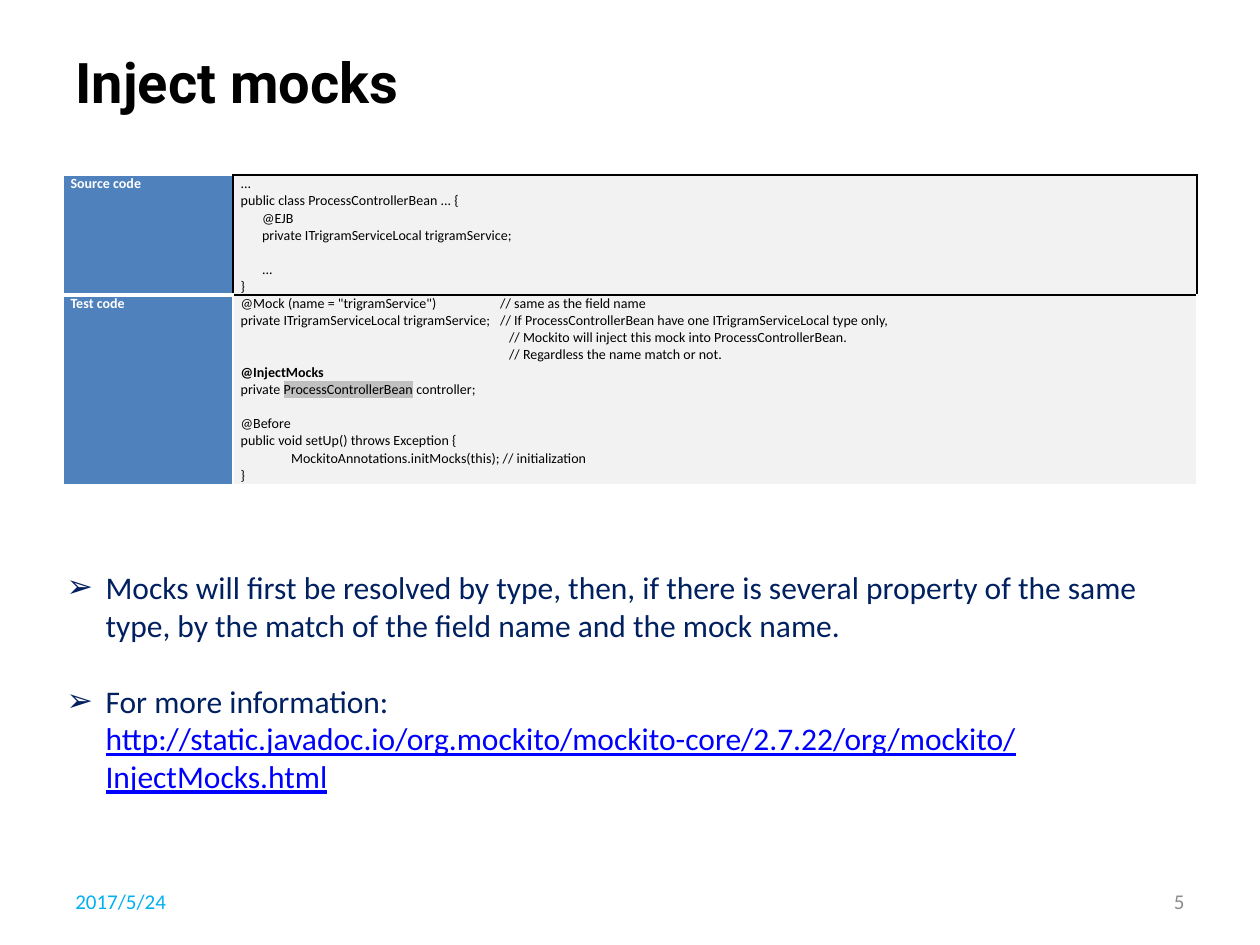
from lxml import etree
from pptx import Presentation
from pptx.dml.color import RGBColor
from pptx.enum.text import MSO_ANCHOR, MSO_AUTO_SIZE, PP_ALIGN
from pptx.oxml.ns import qn
from pptx.util import Inches, Pt

MIDDLE, TOP = MSO_ANCHOR.MIDDLE, MSO_ANCHOR.TOP
LEFT, RIGHT = PP_ALIGN.LEFT, PP_ALIGN.RIGHT
GROW = MSO_AUTO_SIZE.SHAPE_TO_FIT_TEXT
rgb = RGBColor.from_string


def add(parent, tag, **attrs):
    return etree.SubElement(parent, qn(tag), {k: str(v) for k, v in attrs.items()})


def style(p, size, color, bold=False, font="Calibri"):
    for r in p.runs:
        r.font.size = Pt(size)
        r.font.name = font
        r.font.bold = bold
        r.font.color.rgb = rgb(color)


prs = Presentation()
prs.slide_width, prs.slide_height = Inches(10), Inches(7.5)
s = prs.slides.add_slide(prs.slide_layouts[5])
margin = Inches(0.5)

title = s.shapes.title
title.left, title.top, title.width, title.height = margin, Inches(0.3), Inches(9), Inches(0.69)
tf = title.text_frame
tf.text = "Inject mocks"
tf.vertical_anchor = MIDDLE
tf.paragraphs[0].alignment = LEFT
style(tf.paragraphs[0], 32, "000000", True, "Roboto")

footer_width = Inches(2.33)
for text, left, align, color in [
    ("2017/5/24", margin, LEFT, "00B0F0"),
    ("5", prs.slide_width - margin - footer_width, RIGHT, "8C8C8C"),
]:
    tf = s.shapes.add_textbox(left, Inches(6.95), footer_width, Inches(0.4)).text_frame
    tf.word_wrap = True
    tf.vertical_anchor = MIDDLE
    tf.text = text
    tf.paragraphs[0].alignment = align
    style(tf.paragraphs[0], 12, color)

LINE = 9.8
COMMENT = 2.06
source_code = [
    ("...", 0, 0),
    ("public class ProcessControllerBean ... {", 0, 0),
    ("@EJB", 0.17, 0),
    ("private ITrigramServiceLocal trigramService;", 0.17, 0),
    ("...", 0.17, LINE),
    ("}", 0, 0),
]
test_code = [
    ('@Mock (name = "trigramService")\t// same as the field name', 0, 0),
    ("private ITrigramServiceLocal trigramService;\t// If ProcessControllerBean have one ITrigramServiceLocal type only,", 0, 0),
    ("// Mockito will inject this mock into ProcessControllerBean.", 2.13, 0),
    ("// Regardless the name match or not.", 2.13, 0),
    ("@InjectMocks", 0, 0),
    ("private ", 0, 0),
    ("@Before", 0, LINE),
    ("public void setUp() throws Exception {", 0, 0),
    ("MockitoAnnotations.initMocks(this); // initialization", 0.4, 0),
    ("}", 0, 0),
]
white, thick, black = ("FFFFFF", 1), ("FFFFFF", 3), ("000000", 1)
cells = [
    [([("Source code", 0, 0)], (white, black, white, thick)), (source_code, (black,) * 4)],
    [([("Test code", 0, 0)], (white, white, thick, white)), (test_code, (white, white, black, white))],
]
columns, rows = [1.35, 7.65], [0.95, 1.51]
table = s.shapes.add_table(2, 2, margin, Inches(1.39), Inches(sum(columns)), Inches(sum(rows))).table
for i in range(2):
    table.columns[i].width = Inches(columns[i])
    table.rows[i].height = Inches(rows[i])
    for j, (lines, borders) in enumerate(cells[i]):
        cell = table.cell(i, j)
        cell.margin_left = cell.margin_right = Inches(0.06)
        cell.margin_top = cell.margin_bottom = 0
        cell.vertical_anchor = TOP
        tcPr = cell._tc.get_or_add_tcPr()
        for tag, (color, width) in zip(("a:lnL", "a:lnR", "a:lnT", "a:lnB"), borders):
            add(add(add(tcPr, tag, w=Pt(width)), "a:solidFill"), "a:srgbClr", val=color)
        cell.fill.solid()
        cell.fill.fore_color.rgb = rgb(["4F81BD", "F2F2F2"][j])
        tf = cell.text_frame
        tf.text = "\n".join(line[0] for line in lines)
        for p, (text, indent, gap) in zip(tf.paragraphs, lines):
            p.space_before = Pt(gap)
            pPr = p._p.get_or_add_pPr()
            pPr.set("marL", str(Inches(indent)))
            if "\t" in text:
                add(add(pPr, "a:tabLst"), "a:tab", pos=Inches(COMMENT), algn="l")
            if text == "private ":
                for part in ("ProcessControllerBean", " controller;"):
                    p.add_run().text = part
            style(p, 8, ["FFFFFF", "000000"][j], j == 0 or text == "@InjectMocks")
            if text == "private ":
                rPr = p.runs[1].font._element
                highlight = add(rPr, "a:highlight")
                add(highlight, "a:srgbClr", val="C0C0C0")
                rPr.find(qn("a:solidFill")).addnext(highlight)

tf = s.shapes.add_textbox(Inches(0.43), Inches(4.46), Inches(9.07), Inches(1.62)).text_frame
tf.word_wrap = True
tf.auto_size = GROW
tf.text = (
    "Mocks will first be resolved by type, then, if there is several property of the same type, "
    "by the match of the field name and the mock name.\nFor more information: "
)
link = tf.paragraphs[1].add_run()
link.text = "http://static.javadoc.io/org.mockito/mockito-core/2.7.22/org/mockito/InjectMocks.html"
for p, gap in zip(tf.paragraphs, (0, 21.6)):
    p.space_before = Pt(gap)
    pPr = p._p.get_or_add_pPr()
    pPr.set("marL", str(Inches(0.31)))
    pPr.set("indent", str(-Inches(0.31)))
    add(pPr, "a:buFont", typeface="Calibri")
    add(pPr, "a:buChar", char="➢")
    style(p, 18, "002060")
link.font.color.rgb = rgb("0000FF")
link.font.underline = True

prs.save("out.pptx")
